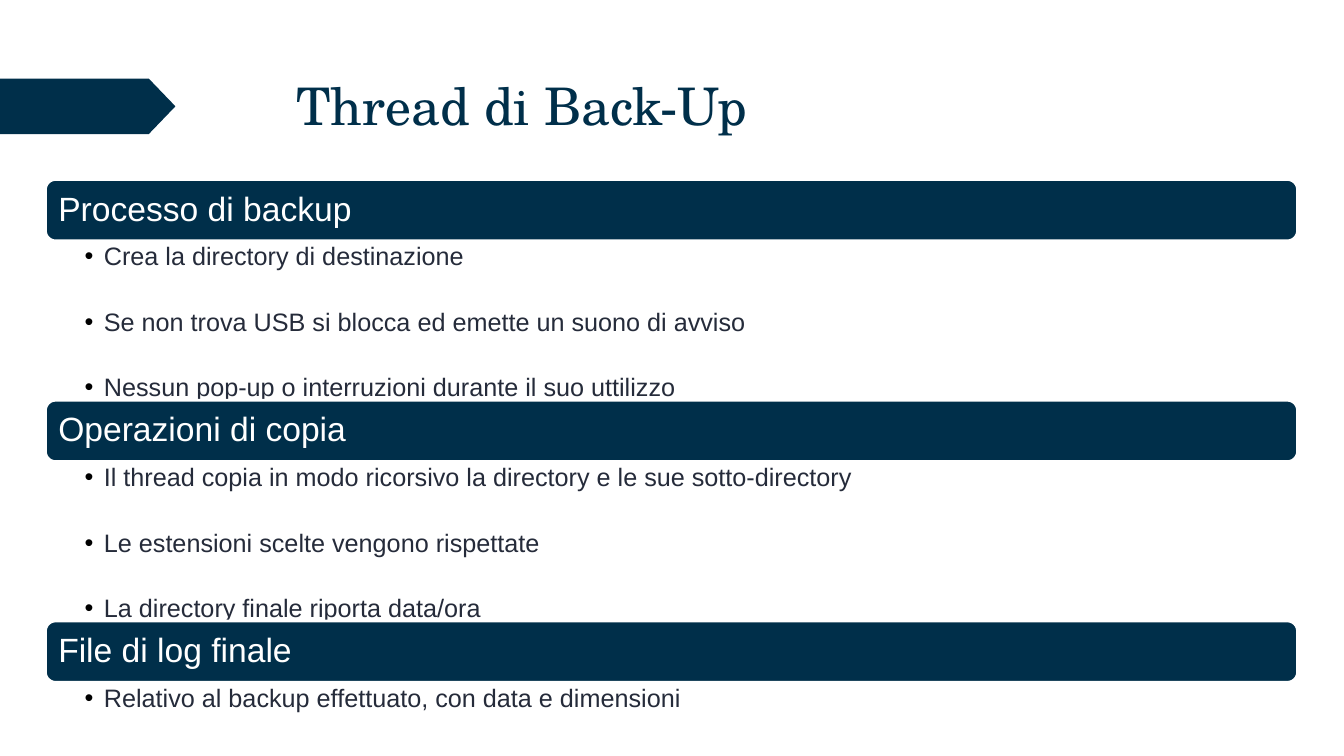
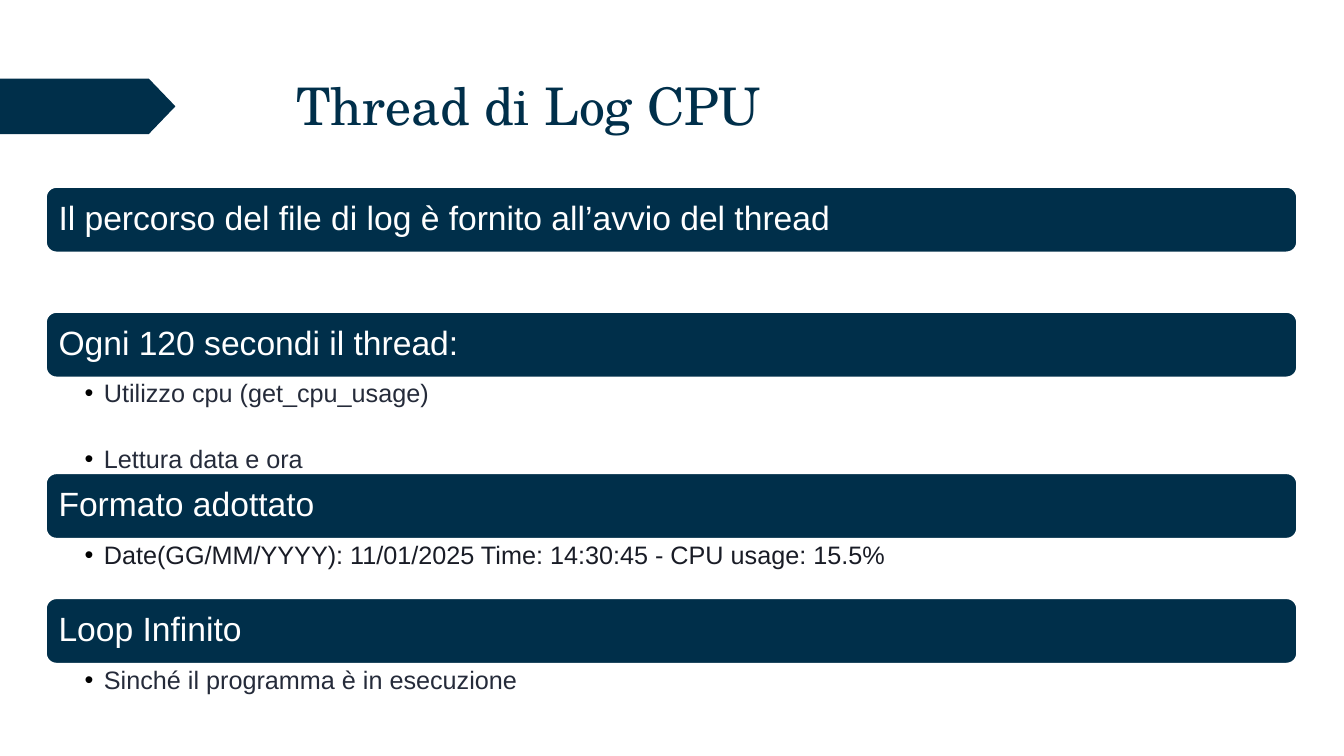
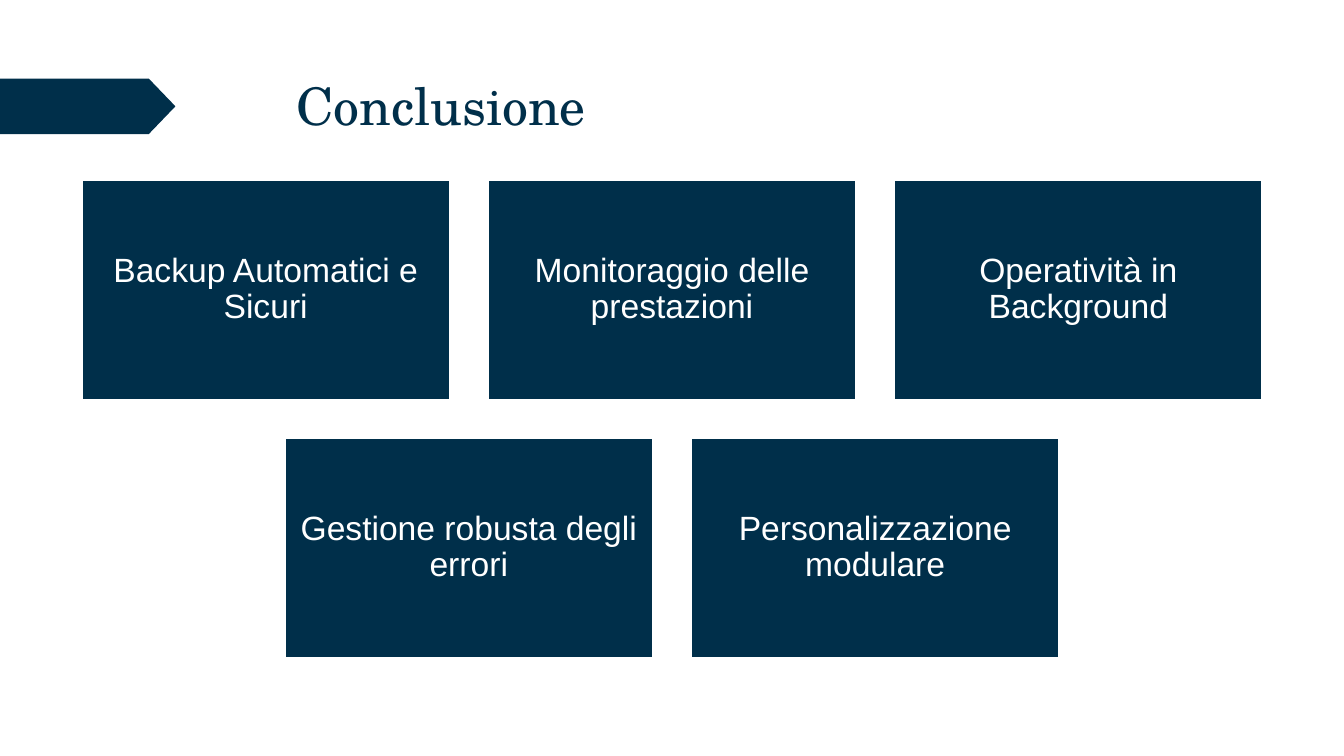
from lxml import etree
from pptx import Presentation
from pptx.dml.color import RGBColor
from pptx.enum.shapes import MSO_SHAPE
from pptx.enum.text import MSO_ANCHOR, PP_ALIGN
from pptx.oxml.ns import qn
from pptx.util import Inches, Pt

RECT = MSO_SHAPE.RECTANGLE
ROUND = MSO_SHAPE.ROUNDED_RECTANGLE
ARROW = MSO_SHAPE.PENTAGON
LEFT, CENTER = PP_ALIGN.LEFT, PP_ALIGN.CENTER

NAVY, WHITE, INK, DARK = "002F4A", "FFFFFF", "252B3A", "191C26"
WIDE = 13.33


def color(code):
    return RGBColor.from_string(code)


def add_box(slide, kind, area, text, align):
    """Add a navy shape with a white outline and white text."""
    box = slide.shapes.add_shape(kind, *map(Inches, area))
    box.shadow.inherit = False
    box.fill.solid()
    box.fill.fore_color.rgb = color(NAVY)
    box.line.color.rgb = color(WHITE)
    box.line.width = Pt(2)
    frame = box.text_frame
    frame.word_wrap = True
    frame.vertical_anchor = MSO_ANCHOR.MIDDLE
    frame.margin_left = frame.margin_right = Inches(0.1)
    frame.margin_top = frame.margin_bottom = Inches(0.1)
    para = frame.paragraphs[0]
    para.text = text
    para.alignment = align
    para.line_spacing = 0.9
    para.font.name = "Arial"
    para.font.size = Pt(24)
    para.font.color.rgb = color(WHITE)
    return box


# Content: title, top, bar height, least body height, sections
lists = [
    ("Thread di Back-Up", 1.78, 0.61, 0.45, [
        ("Processo di backup", INK, [
            "Crea la directory di destinazione",
            "Se non trova USB si blocca ed emette un suono di avviso",
            "Nessun pop-up o interruzioni durante il suo uttilizzo"]),
        ("Operazioni di copia", INK, [
            "Il thread copia in modo ricorsivo la directory e le sue sotto-directory",
            "Le estensioni scelte vengono rispettate",
            "La directory finale riporta data/ora"]),
        ("File di log finale", INK, [
            "Relativo al backup effettuato, con data e dimensioni"]),
    ]),
    ("Thread di Log CPU", 1.85, 0.66, 0.58, [
        ("Il percorso del file di log è fornito all’avvio del thread", INK, []),
        ("Ogni 120 secondi il thread:", INK, [
            "Utilizzo cpu (get_cpu_usage)",
            "Lettura data e ora"]),
        ("Formato adottato", DARK, [
            "Date(GG/MM/YYYY): 11/01/2025 Time: 14:30:45 - CPU usage: 15.5%"]),
        ("Loop Infinito", INK, ["Sinché il programma è in esecuzione"]),
    ]),
]
ending = "Conclusione"
rows = [
    ["Backup Automatici e Sicuri", "Monitoraggio delle prestazioni",
     "Operatività in Background"],
    ["Gestione robusta degli errori", "Personalizzazione modulare"],
]

deck = Presentation()
deck.slide_width, deck.slide_height = Inches(WIDE), Inches(7.5)

# Slides with the shared arrow and title
slides = []
for title in [item[0] for item in lists] + [ending]:
    slide = deck.slides.add_slide(deck.slide_layouts[6])
    slides.append(slide)
    arrow = slide.shapes.add_shape(
        ARROW, Inches(0), Inches(0.78), Inches(1.74), Inches(0.55))
    arrow.adjustments[0] = 0.48
    arrow.shadow.inherit = False
    arrow.fill.solid()
    arrow.fill.fore_color.rgb = color(NAVY)
    arrow.line.fill.background()
    head = slide.shapes.add_textbox(
        Inches(2.84), Inches(0.68), Inches(9.75), Inches(0.8))
    head.text_frame.word_wrap = True
    para = head.text_frame.paragraphs[0]
    para.text = title
    para.font.name = "TeX Gyre Schola"
    para.font.size = Pt(37)
    para.font.color.rgb = color(NAVY)

# Bars with bullet lists below them
for slide, (title, top, bar, least, parts) in zip(slides, lists):
    for name, ink, points in parts:
        add_box(slide, ROUND, (0.45, top, 12.42, bar), name, LEFT)
        top += bar
        body = max(least, 0.64 * len(points) - 0.34)
        if points:
            box = slide.shapes.add_textbox(
                Inches(0.45), Inches(top), Inches(12.42), Inches(body))
            frame = box.text_frame
            frame.word_wrap = True
            frame.margin_left, frame.margin_right = Inches(0.39), Inches(0.14)
            frame.margin_top = frame.margin_bottom = Inches(0.03)
            for i, point in enumerate(points):
                para = frame.add_paragraph() if i else frame.paragraphs[0]
                para.text = point
                para.line_spacing = 0.9
                para.space_before = Pt(27.4 if i else 0)
                para.font.name = "Arial"
                para.font.size = Pt(18)
                para.font.color.rgb = color(ink)
                # Black bullet with a hanging indent
                props = para._p.get_or_add_pPr()
                props.set("marL", str(Inches(0.19)))
                props.set("indent", str(Inches(-0.19)))
                tint = etree.SubElement(props, qn("a:buClr"))
                etree.SubElement(tint, qn("a:srgbClr"), val="000000")
                etree.SubElement(props, qn("a:buFont"), typeface="Arial")
                etree.SubElement(props, qn("a:buChar"), char="•")
        top += body

# Closing tiles, each row centred
wide, high, gap = 3.66, 2.19, 0.37
for r, row in enumerate(rows):
    left = (WIDE - len(row) * (wide + gap) + gap) / 2
    for c, text in enumerate(row):
        area = (left + c * (wide + gap), 1.78 + r * (high + gap), wide, high)
        add_box(slides[-1], RECT, area, text, CENTER)

deck.save("out.pptx")
